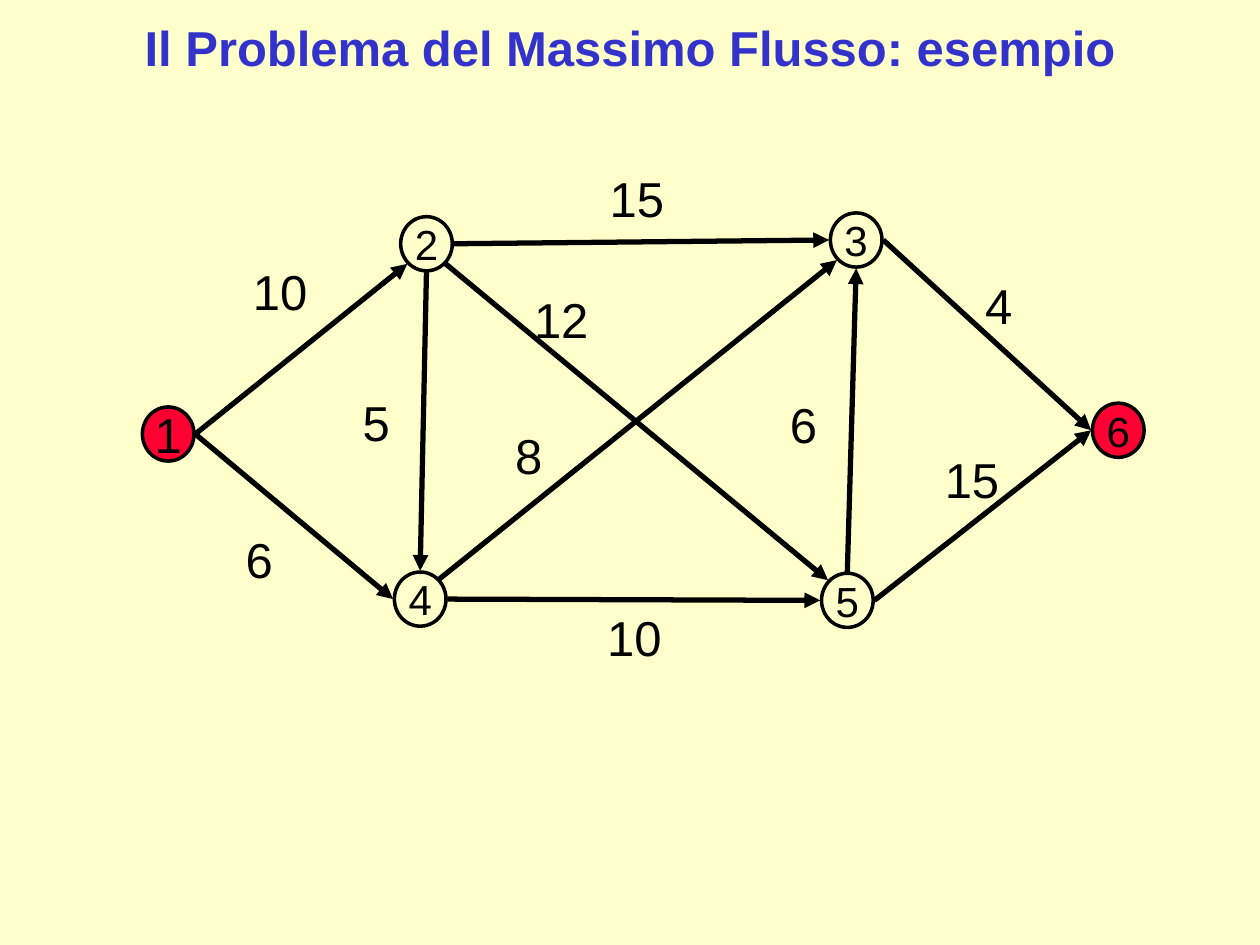
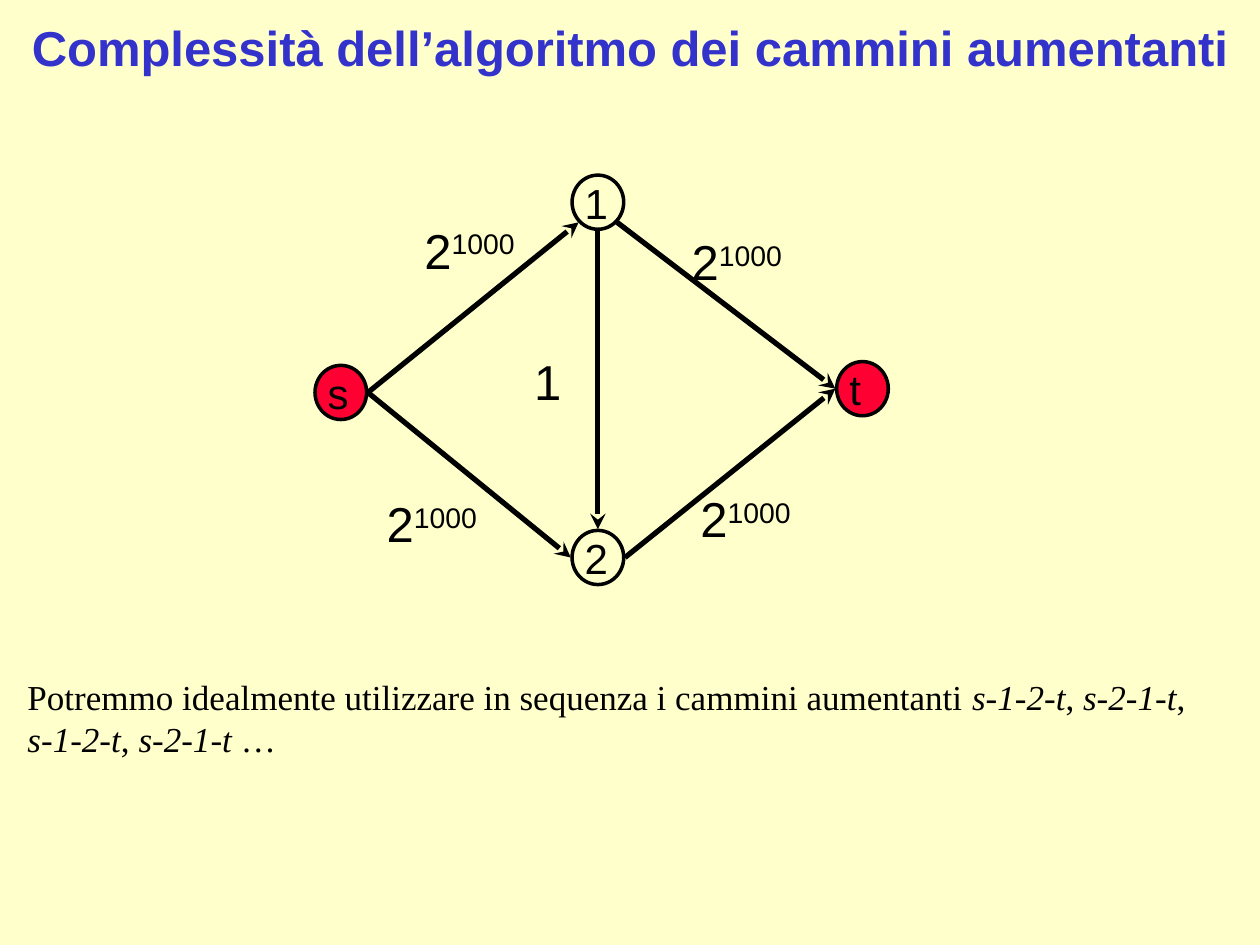
from pptx import Presentation
from pptx.dml.color import RGBColor
from pptx.enum.shapes import MSO_CONNECTOR, MSO_SHAPE
from pptx.enum.text import MSO_ANCHOR, MSO_AUTO_SIZE, PP_ALIGN
from pptx.oxml.ns import qn
from pptx.oxml.xmlchemy import OxmlElement
from pptx.util import Emu, Pt

EMU_PER_PX = 9144  # 100 px to the inch
ELLIPSE, STRAIGHT = MSO_SHAPE.OVAL, MSO_CONNECTOR.STRAIGHT
LEFT, CENTER = PP_ALIGN.LEFT, PP_ALIGN.CENTER
MIDDLE = MSO_ANCHOR.MIDDLE
GROW, FIXED = MSO_AUTO_SIZE.SHAPE_TO_FIT_TEXT, MSO_AUTO_SIZE.NONE

CREAM, INK, BLUE, RED = "FFFFCC", "000000", "3333CC", "FF0033"
TITLE = {"name": "Arial", "size": Pt(28), "bold": True}
CAPACITY = {"name": "Arial", "size": Pt(28)}
NODE = {"name": "Arial", "size": Pt(24)}
BODY = {"name": "Times New Roman", "size": Pt(20)}

NODE_WIDTH, NODE_HEIGHT = 41, 43
EDGE_GAP = 1
DIAGONAL = 0.71
# Unit direction from the centre of a node to each point where an edge meets it
SIDES = {
    "top": (0, -1), "bottom": (0, 1), "left": (-1, 0), "right": (1, 0),
    "top left": (-DIAGONAL, -DIAGONAL), "top right": (DIAGONAL, -DIAGONAL),
    "bottom left": (-DIAGONAL, DIAGONAL), "bottom right": (DIAGONAL, DIAGONAL),
}

# name: (left, top, fill, font size)
FLOW_NODES = {
    "1": (113, 323, RED, 28),
    "2": (318, 172, None, 24),
    "3": (659, 169, None, 24),
    "4": (313, 454, None, 24),
    "5": (652, 455, None, 24),
    "6": (867, 320, RED, 24),
}
# start, side, end, side, (base, exponent) of the capacity, label left, label top
FLOW_EDGES = [
    ("1", "right", "2", "bottom left", ("10", ""), 191, 203),
    ("1", "right", "4", "left", ("6", ""), 185, 415),
    ("2", "right", "3", "left", ("15", ""), 474, 129),
    ("4", "right", "5", "left", ("10", ""), 472, 477),
    ("5", "right", "6", "left", ("15", ""), 740, 352),
    ("3", "right", "6", "left", ("4", ""), 772, 214),
    ("2", "bottom right", "5", "top left", ("12", ""), 414, 225),
    ("4", "top right", "3", "bottom left", ("8", ""), 399, 333),
    ("2", "bottom", "4", "top", ("5", ""), 278, 307),
    ("5", "top", "3", "bottom", ("6", ""), 617, 308),
]

PATH_NODES = {
    "1": (454, 139, None, 24),
    "2": (454, 421, None, 24),
    "t": (664, 287, RED, 24),
    "s": (250, 290, RED, 24),
}
PATH_EDGES = [
    ("s", "right", "1", "bottom left", ("2", "1000"), 327, 170),
    ("s", "right", "2", "left", ("2", "1000"), 297, 387),
    ("1", "bottom", "2", "top", ("1", ""), 414, 274),
    ("1", "bottom right", "t", "left", ("2", "1000"), 539, 179),
    ("2", "right", "t", "left", ("2", "1000"), 546, 383),
]
PATH_REMARK = [
    ("Potremmo idealmente utilizzare in sequenza i cammini aumentanti ", False),
    ("s-1-2-t", True), (", ", False), ("s-2-1-t", True), (", ", False),
    ("s-1-2-t", True), (", ", False), ("s-2-1-t ", True), ("…", False),
]


def px(*lengths):
    return [Emu(round(length * EMU_PER_PX)) for length in lengths]


def color(hex_code):
    return RGBColor.from_string(hex_code)


def meeting_point(node, side):
    """Point just outside the outline of a node, on the given side."""
    left, top = node[:2]
    across, down = SIDES[side]
    return (left + NODE_WIDTH / 2 + across * (NODE_WIDTH / 2 + EDGE_GAP),
            top + NODE_HEIGHT / 2 + down * (NODE_HEIGHT / 2 + EDGE_GAP))


class Deck:
    """Holds the shared style and the slide being drawn."""

    def __init__(self):
        self.presentation = Presentation()
        self.presentation.slide_width, self.presentation.slide_height = px(1000, 750)
        background = self.presentation.slide_master.background.fill
        background.solid()
        background.fore_color.rgb = color(CREAM)
        self.slide = None

    def new_slide(self, title):
        blank = self.presentation.slide_layouts[6]
        self.slide = self.presentation.slides.add_slide(blank)
        frame = self.text_box(6, 3, 988, 69, wrap=True, grow=False)
        self.set_frame(frame, inset=4, vertical_anchor=MIDDLE)
        frame.paragraphs[0].alignment = CENTER
        self.run(frame, title, TITLE, BLUE)

    def text_box(self, left, top, width, height, wrap=False, grow=True):
        box = self.slide.shapes.add_textbox(*px(left, top, width, height))
        self.set_frame(box.text_frame, word_wrap=wrap,
                       auto_size=GROW if grow else FIXED)
        return box.text_frame

    def set_frame(self, frame, inset=None, **values):
        if inset is not None:
            for side in ("left", "top", "right", "bottom"):
                values["margin_" + side] = px(inset)[0]
        for name, value in values.items():
            setattr(frame, name, value)

    def run(self, frame, text, style, ink=INK, **extra):
        run = frame.paragraphs[0].add_run()
        run.text = text
        for name, value in {**style, **extra}.items():
            setattr(run.font, name, value)
        run.font.color.rgb = color(ink)
        return run

    def node(self, name, left, top, fill, size, alignment):
        shape = self.slide.shapes.add_shape(
            ELLIPSE, *px(left, top, NODE_WIDTH, NODE_HEIGHT))
        shape.shadow.inherit = False
        if fill:
            shape.fill.solid()
            shape.fill.fore_color.rgb = color(fill)
        else:
            shape.fill.background()
        shape.line.color.rgb = color(INK)
        shape.line.width = Pt(2)
        frame = shape.text_frame
        self.set_frame(frame, inset=4, word_wrap=False, vertical_anchor=MIDDLE)
        frame.paragraphs[0].alignment = alignment
        self.run(frame, name, NODE, size=Pt(size))

    def edge(self, start, end, arrowhead):
        line = self.slide.shapes.add_connector(STRAIGHT, *px(*start, *end))
        line.line.color.rgb = color(INK)
        line.line.width = Pt(3)
        properties = line._element.spPr
        tail = OxmlElement("a:tailEnd")
        tail.set("type", arrowhead)
        properties.find(qn("a:ln")).append(tail)
        properties.append(OxmlElement("a:effectLst"))

    def capacity(self, base, exponent, left, top):
        width = 20 + 22 * len(base) + 15 * len(exponent)
        frame = self.text_box(left, top, width, 57)
        self.run(frame, base, CAPACITY)
        if exponent:
            power = self.run(frame, exponent, CAPACITY)
            power._r.get_or_add_rPr().set("baseline", "30000")

    def network(self, nodes, edges, arrowhead, alignment):
        for name, node in nodes.items():
            self.node(name, *node, alignment)
        for start, start_side, end, end_side, *_ in edges:
            self.edge(meeting_point(nodes[start], start_side),
                      meeting_point(nodes[end], end_side), arrowhead)
        for *_, capacity, left, top in edges:
            self.capacity(*capacity, left, top)

    def remark(self, pieces):
        frame = self.text_box(12, 531, 966, 77, wrap=True)
        for text, italic in pieces:
            self.run(frame, text, BODY, italic=italic)


def main():
    deck = Deck()
    deck.new_slide("Il Problema del Massimo Flusso: esempio")
    deck.network(FLOW_NODES, FLOW_EDGES, "triangle", CENTER)

    deck.new_slide("Complessità dell’algoritmo dei cammini aumentanti")
    deck.network(PATH_NODES, PATH_EDGES, "stealth", LEFT)
    deck.remark(PATH_REMARK)

    deck.presentation.save("out.pptx")


if __name__ == "__main__":
    main()
